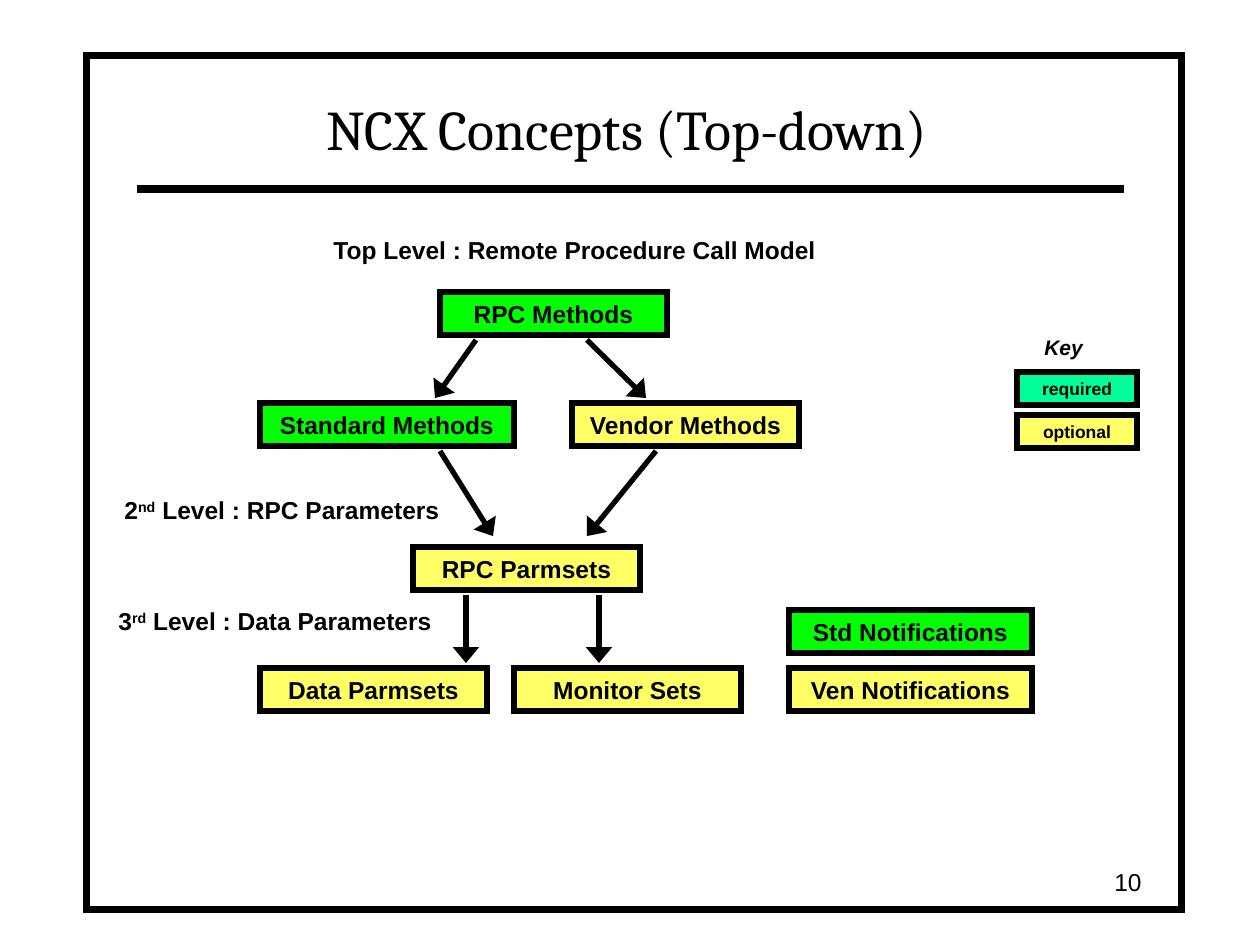
from lxml.etree import SubElement
from pptx import Presentation
from pptx.dml.color import RGBColor
from pptx.enum.shapes import MSO_CONNECTOR as CONNECTOR, MSO_SHAPE as SHAPE
from pptx.enum.text import MSO_ANCHOR as ANCHOR, MSO_AUTO_SIZE as AUTO_SIZE, PP_ALIGN as ALIGN
from pptx.oxml.ns import qn
from pptx.util import Emu, Pt

SCALE = 914400 / 126  # EMU per px
COLORS = {"black": "000000", "white": "FFFFFF", "green": "00FF00",
          "yellow": "FFFF66", "mint": "00FF99"}
BOX_HEIGHT = 43


def px(*lengths):
    return [Emu(round(length * SCALE)) for length in lengths]


def style_font(paragraph, size, name="Arial", bold=False):
    font = paragraph.font
    font.size, font.name, font.bold = Pt(size), name, bold
    font.color.rgb = RGBColor.from_string(COLORS["black"])


presentation = Presentation()
presentation.slide_width, presentation.slide_height = px(1260, 945)
slide = presentation.slides.add_slide(presentation.slide_layouts[5])
shapes = slide.shapes

# Title
title = shapes.title
title.left, title.top, title.width, title.height = px(136, 73, 982, 95)
title.text_frame.auto_size = AUTO_SIZE.NONE
title.text_frame.vertical_anchor = ANCHOR.BOTTOM
title.text_frame.text = "NCX Concepts (Top-down)"
title.text_frame.paragraphs[0].alignment = ALIGN.CENTER
style_font(title.text_frame.paragraphs[0], 32, "Cambria")

# Frame, concept boxes and key: text, left, top, width, height, fill, font size, line width
boxes = [
    ("", 87, 56, 1095, 854, "white", 14, 4),
    ("RPC Methods", 440, 292, 227, BOX_HEIGHT, "green", 14, 3),
    ("Standard Methods", 260, 403, 254, BOX_HEIGHT, "green", 14, 3),
    ("Vendor Methods", 572, 403, 227, BOX_HEIGHT, "yellow", 14, 3),
    ("RPC Parmsets", 413, 547, 227, BOX_HEIGHT, "yellow", 14, 3),
    ("Data Parmsets", 260, 668, 227, BOX_HEIGHT, "yellow", 14, 3),
    ("Monitor Sets", 514, 668, 227, BOX_HEIGHT, "yellow", 14, 3),
    ("Std Notifications", 789, 610, 243, BOX_HEIGHT, "green", 14, 3),
    ("Ven Notifications", 789, 668, 243, BOX_HEIGHT, "yellow", 14, 3),
    ("required", 1017, 372, 120, 33, "mint", 10, 3),
    ("optional", 1017, 415, 120, 33, "yellow", 10, 3),
]
for text, left, top, width, height, fill, size, line_width in boxes:
    box = shapes.add_shape(SHAPE.RECTANGLE, *px(left, top, width, height))
    box.shadow.inherit = False
    box.fill.solid()
    box.fill.fore_color.rgb = RGBColor.from_string(COLORS[fill])
    box.line.color.rgb = RGBColor.from_string(COLORS["black"])
    box.line.width = Pt(line_width)
    SubElement(box.line._get_or_add_ln(), qn("a:miter"), lim="800000")
    if not text:
        shapes._spTree.insert(2, box._element)  # the frame lies behind the title
        continue
    box.text_frame.text = text
    box.text_frame.vertical_anchor = ANCHOR.MIDDLE
    paragraph = box.text_frame.paragraphs[0]
    paragraph.alignment = ALIGN.CENTER
    style_font(paragraph, size, bold=True)

# Level labels and key heading: runs at odd positions are superscript
labels = [
    (["Top Level : Remote Procedure Call Model"], 321, 229, 540, 14, False),
    (["2", "nd", " Level : RPC Parameters"], 112, 489, 370, 14, False),
    (["3", "rd", " Level : Data Parameters"], 106, 600, 370, 14, False),
    (["Key"], 1032, 328, 90, 12, True),
]
for parts, left, top, width, size, italic in labels:
    label = shapes.add_textbox(*px(left, top, width, BOX_HEIGHT))
    label.text_frame.word_wrap = True
    paragraph = label.text_frame.paragraphs[0]
    style_font(paragraph, size, bold=True)
    paragraph.font.italic = italic
    for index, part in enumerate(parts):
        run = paragraph.add_run()
        run.text = part
        if index % 2:
            run._r.get_or_add_rPr().set("baseline", "30000")

# Title rule and arrows: start, end, line width, arrowhead
lines = [
    (137, 189, 1124, 189, 4.5, False),
    (476, 340, 435, 398, 3, True),
    (587, 340, 646, 398, 3, True),
    (440, 451, 493, 536, 3, True),
    (656, 451, 587, 536, 3, True),
    (466, 595, 466, 663, 3, True),
    (599, 595, 599, 663, 3, True),
]
for x1, y1, x2, y2, width, has_head in lines:
    line = shapes.add_connector(CONNECTOR.STRAIGHT, *px(x1, y1, x2, y2))
    line.line.color.rgb = RGBColor.from_string(COLORS["black"])
    line.line.width = Pt(width)
    if has_head:
        SubElement(line.line._get_or_add_ln(), qn("a:tailEnd"),
                   type="triangle", w="lg", len="med")
    SubElement(line._element.spPr, qn("a:effectLst"))

# Slide number
number = shapes.add_textbox(*px(892, 861, 262, 42))
number.text_frame.word_wrap = True
number.text_frame.vertical_anchor = ANCHOR.MIDDLE
number.text_frame.text = "10"
number.text_frame.paragraphs[0].alignment = ALIGN.RIGHT
style_font(number.text_frame.paragraphs[0], 14)

presentation.save("out.pptx")
